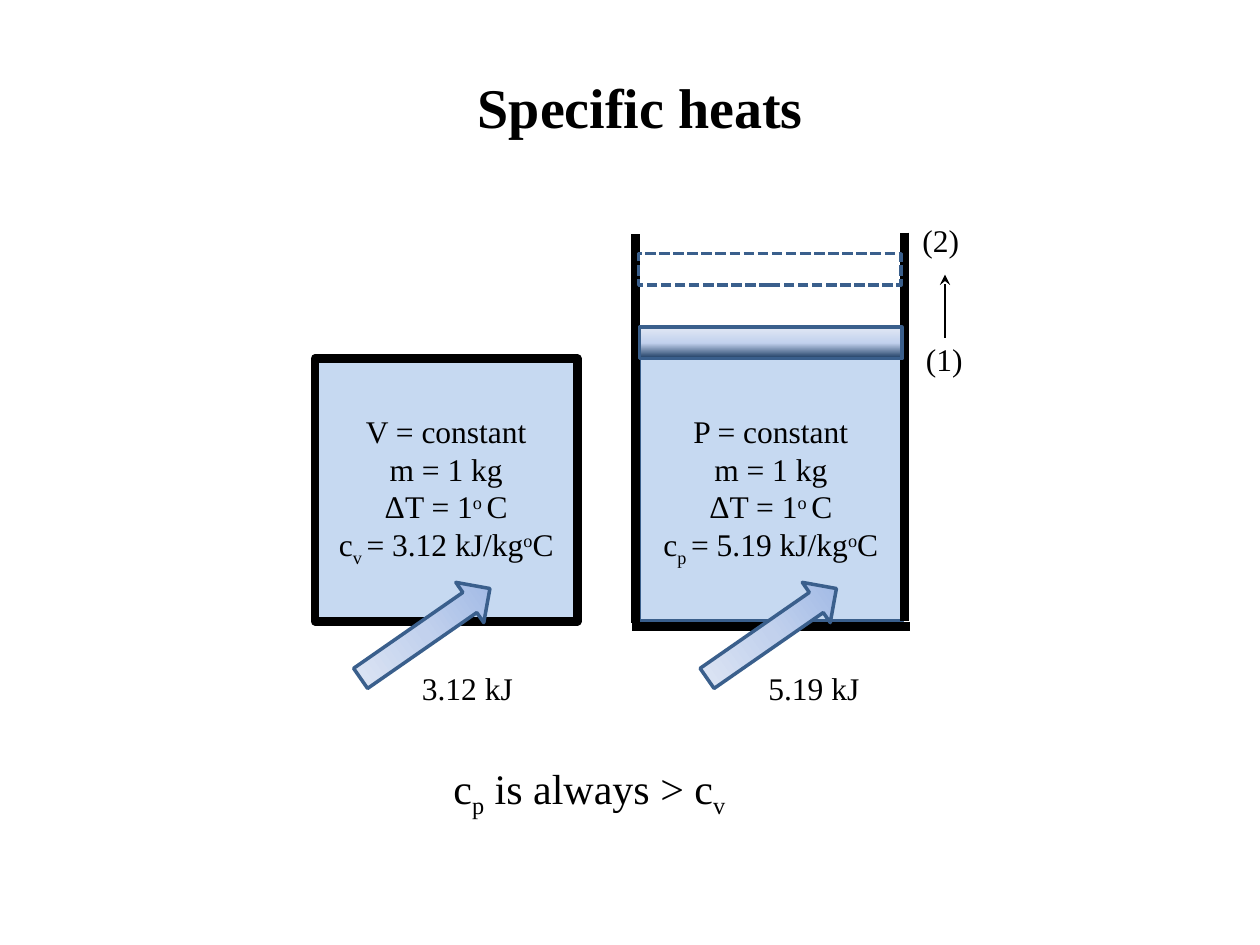
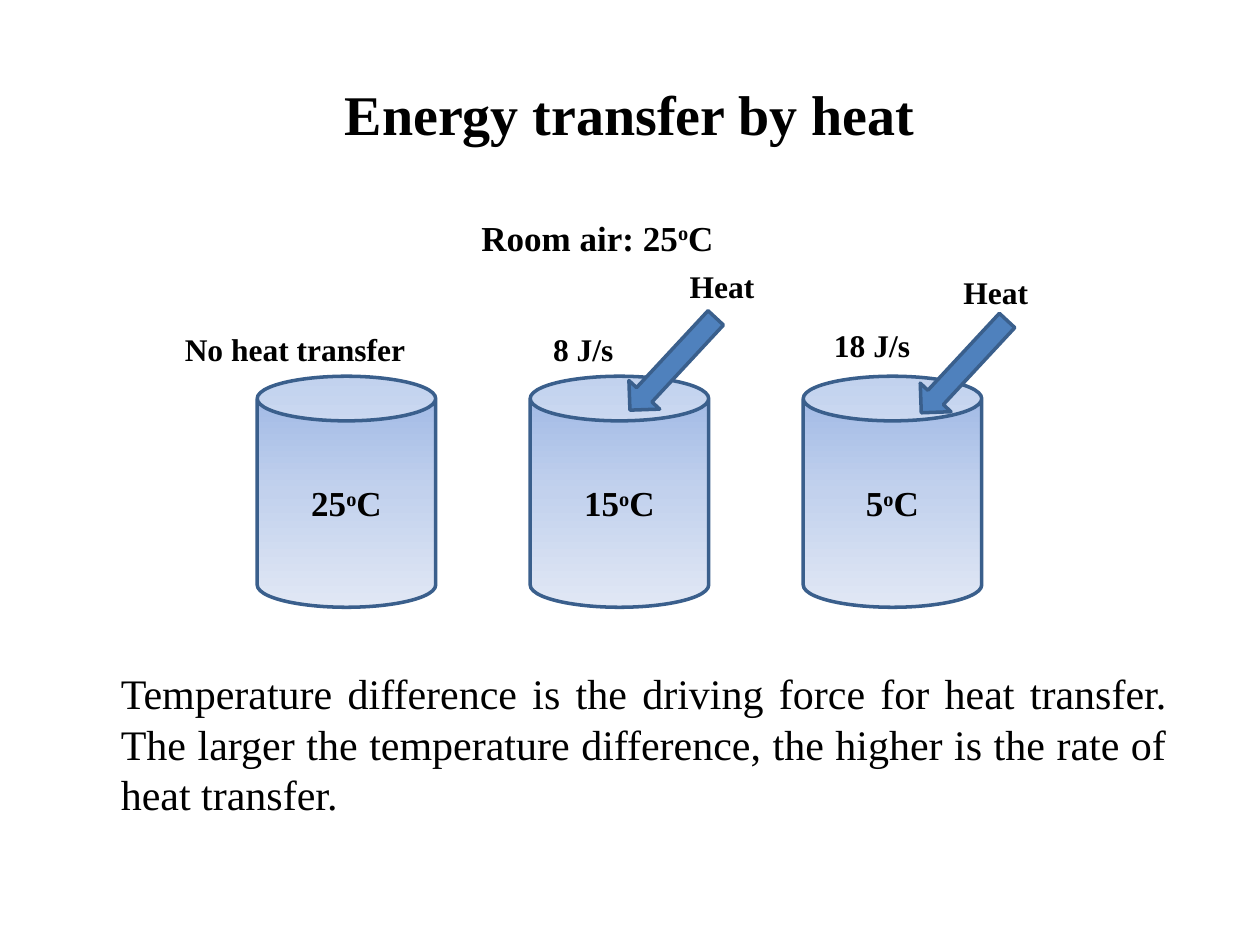
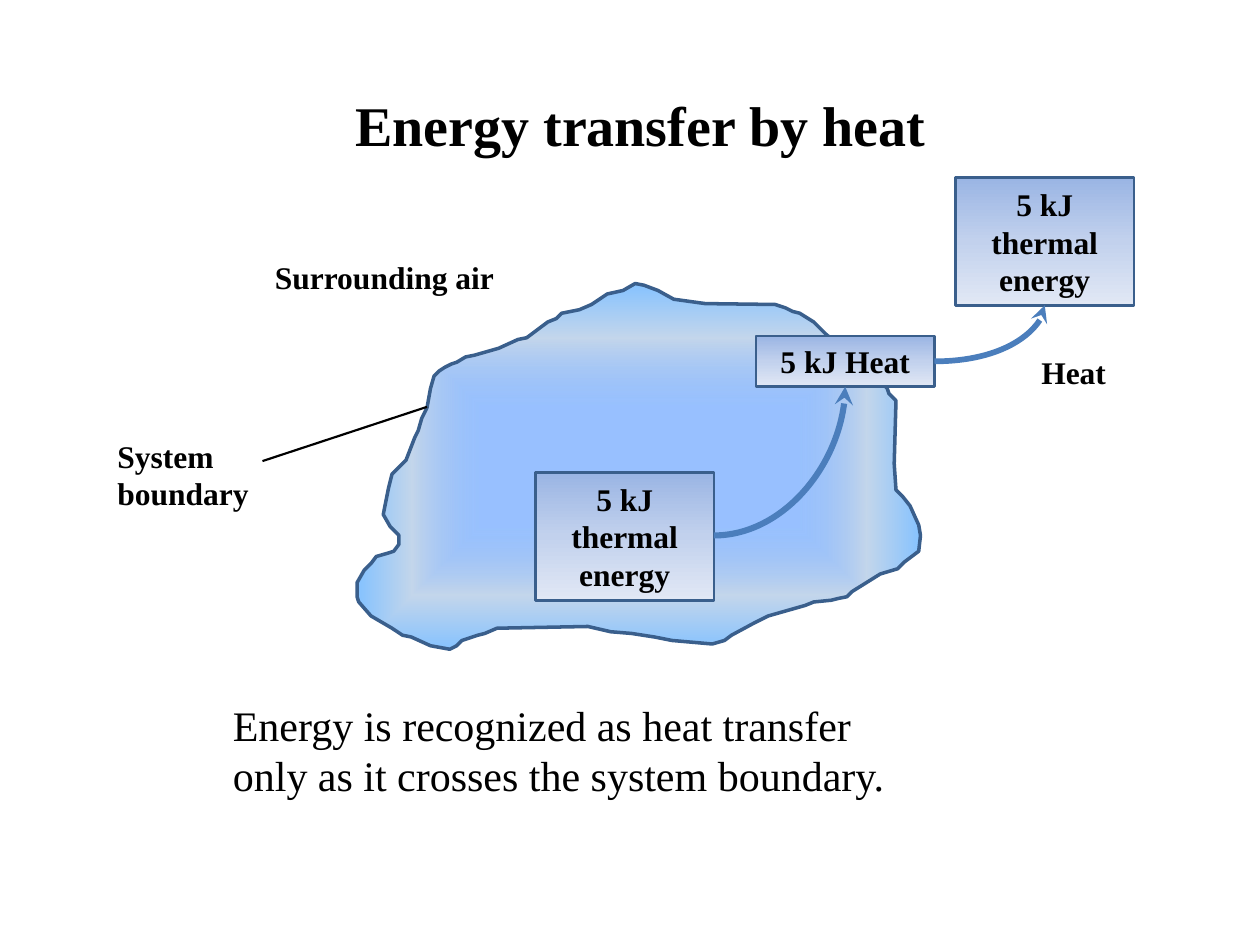
from dataclasses import dataclass
from typing import NamedTuple

from lxml.etree import SubElement
from pptx import Presentation
from pptx.dml.color import RGBColor
from pptx.enum.dml import MSO_LINE
from pptx.enum.shapes import MSO_CONNECTOR, MSO_SHAPE
from pptx.enum.text import MSO_ANCHOR, MSO_AUTO_SIZE, PP_ALIGN
from pptx.oxml.ns import qn
from pptx.util import Pt

FONT = "Times New Roman"
BLACK = "000000"
OUTLINE = "3A5F8C"
GAS = "C6D9F1"
ARROW_BLUE = "4F81BD"
CURVE_BLUE = "4B7EBC"
LEFT, CENTER, JUSTIFY = PP_ALIGN.LEFT, PP_ALIGN.CENTER, PP_ALIGN.JUSTIFY
BASELINES = {"^": "30000", "_": "-25000"}


class Box(NamedTuple):
    left: float
    top: float
    width: float
    height: float


class Stop(NamedTuple):
    position: int
    color: str
    alpha: int = 100


@dataclass
class Label:
    text: str
    box: Box
    size: float = 18
    bold: bool = False
    align: PP_ALIGN = LEFT
    wrap: bool = False


@dataclass
class Vessel:
    symbol: str
    fixed: str
    heat: str
    left: float
    arrow_left: float
    outline: str
    weight: float


@dataclass
class Can:
    temperature: str
    rate: str
    rate_box: Box


SOFT_BLUE = [Stop(0, "9AB5E4"), Stop(50, "C2D1ED"), Stop(100, "E1E8F5")]
PISTON_BLUE = [Stop(0, "17375E"), *SOFT_BLUE[1:]]
CLOUD_BLUE = [Stop(33, "5E9EFF", 63), Stop(70, "C4D6EB"), Stop(100, "85C2FF"), Stop(100, "FFEBFA")]

BOUNDARY = [
    (230, 265), (232, 263), (237, 250), (239, 246), (241, 239), (244, 233), (246, 222),
    (248, 215), (251, 212), (254, 210), (258, 208), (261, 207), (266, 204), (271, 203),
    (285, 199), (296, 194), (301, 193), (313, 184), (318, 182), (321, 179), (331, 177),
    (338, 174), (347, 168), (356, 166), (363, 162), (368, 163), (376, 166), (385, 171),
    (403, 173.5), (443, 174), (449, 176), (453, 178), (457, 179), (465, 184), (469, 188),
    (472, 191), (479, 197), (484, 199), (495, 208), (496, 212), (503, 218), (507, 222),
    (508, 225), (512, 229), (511, 265), (512, 280), (516, 284), (520, 289), (525, 300),
    (526, 306), (525, 315), (517, 321), (513, 325), (503, 328), (495, 333), (487, 338),
    (484, 341), (479, 342), (475, 343), (465, 344), (460, 346), (453, 348), (439, 352),
    (431, 356), (418, 363), (414, 366), (407, 368), (384, 366), (374, 364), (361, 362),
    (349, 361), (336, 358), (284, 359), (277, 362), (273, 363), (264, 366), (261, 369),
    (257, 371), (246, 369), (235, 364), (230, 363), (224, 359), (212, 352), (205, 344),
    (204, 341), (204, 333), (208, 326), (212, 322), (215, 318), (222, 316), (225, 315),
    (228, 311), (228, 306), (223, 301), (219, 294), (222, 279), (224, 271),
]


def rgb(color: str) -> RGBColor:
    """Turn a hex string into a colour."""
    return RGBColor.from_string(color)


def points(box: Box) -> list[Pt]:
    """Turn the four numbers of a box into lengths."""
    return [Pt(value) for value in box]


def write(frame, text: str, size: float, bold: bool = False, align: PP_ALIGN = LEFT) -> None:
    """Write lines in which ~^up~ is superscript and ~_down~ is subscript."""
    lines = text.split("\n")
    frame.text = "\n".join("" for line in lines)
    for para, line in zip(frame.paragraphs, lines):
        para.alignment = align
        for piece in line.split("~"):
            span = para.add_run()
            span.text = piece.lstrip("^_")
            span.font.name = FONT
            span.font.size = Pt(size)
            span.font.bold = bold
            span.font.color.rgb = rgb(BLACK)
            if piece[0] in BASELINES:
                span.font._element.set("baseline", BASELINES[piece[0]])


def add_label(slide, label: Label) -> None:
    """Add a text box that grows with its text."""
    frame = slide.shapes.add_textbox(*points(label.box)).text_frame
    frame.word_wrap = label.wrap
    frame.auto_size = MSO_AUTO_SIZE.SHAPE_TO_FIT_TEXT
    write(frame, label.text, label.size, label.bold, label.align)


def add_titled_slide(deck, title: str, box: Box):
    """Add a title-only slide with a bold centred title."""
    slide = deck.slides.add_slide(deck.slide_layouts[5])
    holder = slide.shapes.title
    holder.left, holder.top, holder.width, holder.height = points(box)
    frame = holder.text_frame
    frame.auto_size = MSO_AUTO_SIZE.NONE
    frame.vertical_anchor = MSO_ANCHOR.TOP
    write(frame, title, 32, True, CENTER)
    return slide


def fill_gradient(shape, stops: list[Stop], angle: int | None) -> None:
    """Fill with a linear gradient, or from the centre when there is no angle."""
    shape.fill.gradient()
    gradient = shape._element.spPr.find(qn("a:gradFill"))
    gradient.clear()
    gradient.set("rotWithShape", "1")
    stop_list = SubElement(gradient, qn("a:gsLst"))
    for stop in stops:
        mark = SubElement(stop_list, qn("a:gs"), pos=str(stop.position * 1000))
        color = SubElement(mark, qn("a:srgbClr"), val=stop.color)
        if stop.alpha < 100:
            SubElement(color, qn("a:alpha"), val=str(stop.alpha * 1000))
    if angle is None:
        center = SubElement(gradient, qn("a:path"), {"path": "shape"})
        SubElement(center, qn("a:fillToRect"), dict.fromkeys("ltrb", "50000"))
    else:
        SubElement(gradient, qn("a:lin"), ang=str(angle * 60000), scaled="1")


def style(shape, fill: str | list[Stop] | None, angle: int | None = 90,
          outline: str = OUTLINE, weight: float = 2) -> None:
    """Set fill and outline and take the shadow away."""
    shape.shadow.inherit = False
    if fill is None:
        shape.fill.background()
    elif isinstance(fill, str):
        shape.fill.solid()
        shape.fill.fore_color.rgb = rgb(fill)
    else:
        fill_gradient(shape, fill, angle)
    shape.line.color.rgb = rgb(outline)
    shape.line.width = Pt(weight)


def add_line(slide, start: tuple, end: tuple, weight: float, color: str = BLACK,
             arrow: bool = False, curved: bool = False) -> None:
    """Add a straight or quarter-turn line, with an arrowhead if wanted."""
    kind = MSO_CONNECTOR.CURVE if curved else MSO_CONNECTOR.STRAIGHT
    line = slide.shapes.add_connector(kind, *[Pt(value) for value in (*start, *end)])
    line.line.color.rgb = rgb(color)
    line.line.width = Pt(weight)
    properties = line._element.spPr
    if curved:
        properties.find(qn("a:prstGeom")).set("prst", "curvedConnector2")
    if arrow:
        SubElement(properties.find(qn("a:ln")), qn("a:tailEnd"), type="stealth")
    SubElement(properties, qn("a:effectLst"))


def add_vessel(slide, vessel: Vessel) -> None:
    """Add a gas square with its state."""
    square = slide.shapes.add_shape(MSO_SHAPE.RECTANGLE, *points(Box(vessel.left, 205, 150, 150)))
    style(square, GAS, outline=vessel.outline, weight=vessel.weight)
    state = (f"{vessel.fixed} = constant\nm = 1 kg\nΔT = 1~^o ~C\n"
             f"c~_{vessel.symbol} ~= {vessel.heat} kJ/kg~^o~C")
    write(square.text_frame, state, 18, align=CENTER)


def add_heat_input(slide, vessel: Vessel) -> None:
    """Add the arrow into a vessel and the heat below it."""
    arrow = slide.shapes.add_shape(MSO_SHAPE.RIGHT_ARROW, *points(Box(vessel.arrow_left, 348, 90, 28)))
    arrow.rotation = 325.2
    style(arrow, SOFT_BLUE, 180)
    add_label(slide, Label(f"{vessel.heat} kJ", Box(vessel.arrow_left + 36, 379, 67, 29)))


def add_energy_box(slide, text: str, box: Box) -> None:
    """Add a shaded box that names an amount of energy."""
    shape = slide.shapes.add_shape(MSO_SHAPE.RECTANGLE, *points(box))
    style(shape, SOFT_BLUE, weight=1.5)
    shape.text_frame.word_wrap = True
    shape.text_frame.auto_size = MSO_AUTO_SIZE.SHAPE_TO_FIT_TEXT
    write(shape.text_frame, text, 18, True, CENTER)


def build_specific_heats(deck) -> None:
    """Build the slide that compares the two specific heats."""
    slide = add_titled_slide(deck, "Specific heats", Box(42, 38, 648, 70))
    vessels = [
        Vessel("v", "V", "3.12", 180, 198, BLACK, 5),
        Vessel("p", "P", "5.19", 365.5, 396, OUTLINE, 2),
    ]
    for vessel in vessels:
        add_vessel(slide, vessel)
    walls = [((517, 133), (517, 355)), ((363, 134), (363, 356)), ((361, 358), (520, 358))]
    for start, end in walls:
        add_line(slide, start, end, 5.25)
    piston = slide.shapes.add_shape(MSO_SHAPE.RECTANGLE, *points(Box(365.5, 187, 150, 18)))
    style(piston, PISTON_BLUE, 270)
    raised = slide.shapes.add_shape(MSO_SHAPE.RECTANGLE, *points(Box(365, 145, 150, 18)))
    style(raised, None)
    raised.line.dash_style = MSO_LINE.SQUARE_DOT
    add_line(slide, (540, 193), (540, 157), 0.75, arrow=True)
    for vessel in vessels:
        add_heat_input(slide, vessel)
    add_label(slide, Label("(2) ", Box(520, 123, 42, 29)))
    add_label(slide, Label("(1)", Box(522, 191, 37, 29)))
    add_label(slide, Label("c~_p~ is always > c~_v", Box(252, 432, 173.5, 36), 24))


def build_driving_force(deck) -> None:
    """Build the slide with three cans in room air."""
    slide = add_titled_slide(deck, "Energy transfer by heat", Box(36, 42, 648, 70))
    cans = [
        Can("25", "No heat transfer", Box(98.5, 185, 142, 29)),
        Can("15", "8 J/s", Box(309, 185, 50, 29)),
        Can("5", "18 J/s", Box(469.5, 183, 58, 29)),
    ]
    for index, can in enumerate(cans):
        shape = slide.shapes.add_shape(MSO_SHAPE.CAN, *points(Box(147 + 156 * index, 215, 102, 132)))
        style(shape, SOFT_BLUE)
        write(shape.text_frame, f"{can.temperature}~^o~C", 20, True, CENTER)
        add_label(slide, Label(can.rate, can.rate_box, bold=True))
    for heat_box, arrow_box in [
        (Box(387, 149, 52, 29), Box(348.5, 196, 72, 24)),
        (Box(543.5, 152.5, 52, 29), Box(515, 197.5, 72, 24)),
    ]:
        add_label(slide, Label("Heat", heat_box, bold=True))
        arrow = slide.shapes.add_shape(MSO_SHAPE.LEFT_ARROW, *points(arrow_box))
        arrow.rotation = 312.9
        style(arrow, ARROW_BLUE)
    add_label(slide, Label("Room air: 25~^o~C", Box(268, 120, 149, 32), 20, True))
    message = ("Temperature difference is the driving force for heat transfer. The larger the "
               "temperature difference, the higher is the rate of heat transfer.")
    add_label(slide, Label(message, Box(62, 378, 612, 94), 24, align=JUSTIFY, wrap=True))


def build_boundary_crossing(deck) -> None:
    """Build the slide on heat that crosses the system boundary."""
    slide = add_titled_slide(deck, "Energy transfer by heat", Box(42, 48, 648, 52))
    outline = [(Pt(across), Pt(down)) for across, down in BOUNDARY]
    builder = slide.shapes.build_freeform(*outline[0])
    builder.add_line_segments(outline[1:], close=True)
    style(builder.convert_to_shape(), CLOUD_BLUE, None)
    add_line(slide, (150, 263.5), (244, 232.5), 1.25)
    for text, box in [
        ("System boundary", Box(60, 246, 126, 51)),
        ("Surrounding air", Box(150, 144, 180, 29)),
        ("Heat", Box(588, 198, 66, 29)),
    ]:
        add_label(slide, Label(text, box, bold=True, wrap=True))
    for text, box in [
        ("5 kJ thermal energy", Box(306, 270, 102, 73)),
        ("5 kJ Heat", Box(432, 192, 102, 29)),
        ("5 kJ thermal energy", Box(546, 101.5, 102, 73)),
    ]:
        add_energy_box(slide, text, box)
    add_line(slide, (408, 306), (483, 221), 3.5, CURVE_BLUE, arrow=True, curved=True)
    add_line(slide, (534, 206.5), (597, 174.5), 3.25, CURVE_BLUE, arrow=True, curved=True)
    message = "Energy is recognized as heat transfer\nonly as it crosses the system boundary."
    add_label(slide, Label(message, Box(126, 396, 504, 65.5), 24, align=JUSTIFY, wrap=True))


def main() -> None:
    """Build the deck and save it."""
    deck = Presentation()
    deck.slide_width, deck.slide_height = Pt(720), Pt(540)
    build_specific_heats(deck)
    build_driving_force(deck)
    build_boundary_crossing(deck)
    deck.save("out.pptx")


main()
